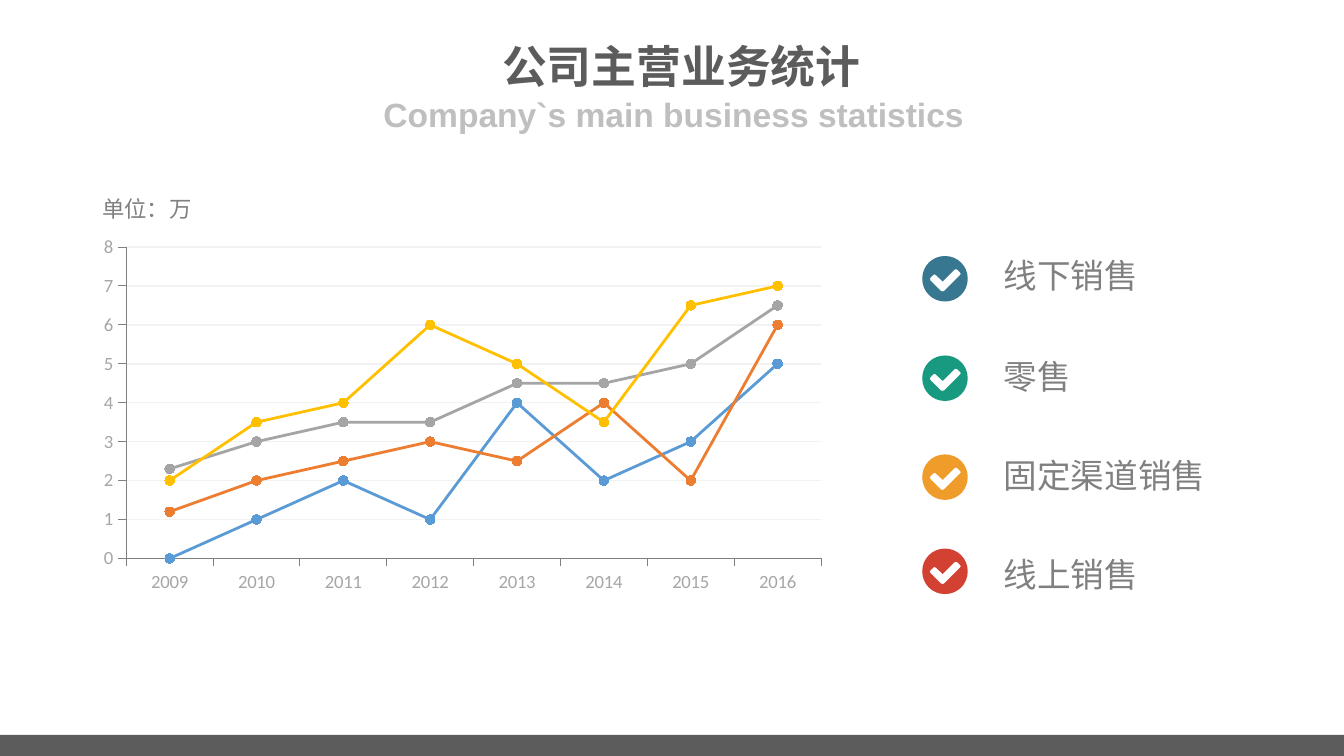
from dataclasses import dataclass

from lxml import etree
from pptx import Presentation
from pptx import util as u
from pptx.chart.data import CategoryChartData
from pptx.dml.color import RGBColor
from pptx.enum import chart as ch, shapes, text
from pptx.oxml import ns

CJK = "Noto Sans CJK SC"
DARK, GREY, LIGHT, AXIS = "5C5C5C", "808080", "A6A6A6", "808080"
ICON_LEFT, ICON_SIZE, LABEL_LEFT = 17.43, 0.86, 18.97

# Outlines in percent of the icon size; NEAR and FAR are the circle's handles
NEAR, FAR = 22, 78
CIRCLE = [(100, 50), (50, 100), (0, 50), (50, 0), (100, 50)]
HANDLES = [((100, FAR), (FAR, 100)), ((NEAR, 100), (0, FAR)),
           ((0, NEAR), (NEAR, 0)), ((FAR, 0), (100, NEAR))]
TICK = [(83, 36), (77, 30), (74, 29), (71, 30), (45, 56), (30, 42), (27, 40), (24, 42),
        (18, 48), (17, 51), (18, 54), (41, 77), (45, 78), (48, 77), (83, 42), (85, 39)]


@dataclass
class Box:
    left: float
    top: float
    width: float
    height: float

    def lengths(self) -> list:
        return [u.Cm(v) for v in (self.left, self.top, self.width, self.height)]


@dataclass
class Style:
    size: float
    color: str
    font: str = CJK
    bold: bool = False
    centred: bool = False
    inset: bool = False
    wrap: bool = True


@dataclass
class LegendItem:
    label: str
    color: str
    icon_top: float
    label_top: float
    width: float = 3.38


@dataclass
class Series:
    color: str
    values: tuple


LEGEND = [
    LegendItem("线下销售", "377790", 4.84, 4.81),
    LegendItem("零售", "189A80", 6.72, 6.73),
    LegendItem("固定渠道销售", "F09C2A", 8.59, 8.6, 4.42),
    LegendItem("线上销售", "D24132", 10.37, 10.47),
]
SERIES = [
    Series("5B9BD5", (0, 1, 2, 1, 4, 2, 3, 5)),
    Series("ED7D31", (1.2, 2, 2.5, 3, 2.5, 4, 2, 6)),
    Series("A5A5A5", (2.3, 3, 3.5, 3.5, 4.5, 4.5, 5, 6.5)),
    Series("FFC000", (2, 3.5, 4, 6, 5, 3.5, 6.5, 7)),
]


def rgb(color: str) -> RGBColor:
    return RGBColor.from_string(color)


def paint(s, color: str) -> None:
    s.shadow.inherit = False
    s.fill.solid()
    s.fill.fore_color.rgb = rgb(color)
    s.line.fill.background()


def add_text(sl, words: str, box: Box, style: Style) -> None:
    tf = sl.shapes.add_textbox(*box.lengths()).text_frame
    tf.text = words
    tf.word_wrap = style.wrap
    if not style.inset:
        tf.margin_left = tf.margin_right = tf.margin_top = tf.margin_bottom = 0
    p = tf.paragraphs[0]
    if style.centred:
        tf.vertical_anchor = text.MSO_ANCHOR.MIDDLE
        p.alignment = text.PP_ALIGN.CENTER
    r = p.runs[0]
    r.font.size, r.font.bold, r.font.name = u.Pt(style.size), style.bold, style.font
    r.font.color.rgb = rgb(style.color)
    if style.font == CJK:
        ea = etree.SubElement(r.font._element, ns.qn("a:ea"))
        ea.set("typeface", CJK)


def add_check_icon(sl, top: float, color: str) -> None:
    fb = sl.shapes.build_freeform(*CIRCLE[0], scale=u.Cm(ICON_SIZE) / 100)
    fb.add_line_segments(CIRCLE[1:], close=False)
    fb.move_to(*TICK[0])
    fb.add_line_segments(TICK[1:])
    s = fb.convert_to_shape(u.Cm(ICON_LEFT), u.Cm(top))
    paint(s, color)

    # Round the four sides of the first contour
    sides = list(s._element.iter(ns.qn("a:lnTo")))[:len(HANDLES)]
    for side, handles in zip(sides, HANDLES):
        curve = etree.Element(ns.qn("a:cubicBezTo"))
        for x, y in handles:
            pt = etree.SubElement(curve, ns.qn("a:pt"))
            pt.set("x", str(x))
            pt.set("y", str(y))
        curve.append(side[0])
        side.getparent().replace(side, curve)


def set_plot_area(chart, x: float, y: float, w: float, h: float) -> None:
    plot_area = chart._chartSpace.chart.plotArea
    for old in plot_area.findall(ns.qn("c:layout")):
        plot_area.remove(old)
    layout = etree.Element(ns.qn("c:layout"))
    manual = etree.SubElement(layout, ns.qn("c:manualLayout"))
    for tag, val in (("layoutTarget", "inner"), ("xMode", "edge"), ("yMode", "edge"),
                     ("x", x), ("y", y), ("w", w), ("h", h)):
        etree.SubElement(manual, ns.qn("c:" + tag)).set("val", str(val))
    plot_area.insert(0, layout)


def add_line_chart(sl, box: Box) -> None:
    data = CategoryChartData()
    data.categories = [str(year) for year in range(2009, 2017)]
    for i, item in enumerate(SERIES, 1):
        data.add_series(f"Series {i}", item.values)
    chart = sl.shapes.add_chart(ch.XL_CHART_TYPE.LINE_MARKERS, *box.lengths(), data).chart
    chart.has_legend = chart.has_title = False
    chart.font.name, chart.font.size = "Calibri", u.Pt(10)
    chart.font.color.rgb = rgb(LIGHT)
    set_plot_area(chart, 0.05, 0.05, 0.93, 0.84)

    # Axes and grid
    for axis in (chart.category_axis, chart.value_axis):
        axis.major_tick_mark = ch.XL_TICK_MARK.OUTSIDE
        axis.minor_tick_mark = ch.XL_TICK_MARK.NONE
        axis.format.line.color.rgb = rgb(AXIS)
        axis.format.line.width = u.Pt(0.5)
    chart.category_axis.tick_label_position = ch.XL_TICK_LABEL_POSITION.LOW
    val = chart.value_axis
    val.minimum_scale, val.maximum_scale, val.major_unit = 0, 8, 1
    val.has_major_gridlines = True
    val.major_gridlines.format.line.color.rgb = rgb("F2F2F2")
    val.major_gridlines.format.line.width = u.Pt(0.75)

    # Lines and markers
    chart.plots[0].vary_by_categories = False
    for line, item in zip(chart.plots[0].series, SERIES):
        line.smooth = False
        line.format.line.color.rgb = rgb(item.color)
        line.format.line.width = u.Pt(1.5)
        line.marker.style, line.marker.size = ch.XL_MARKER_STYLE.CIRCLE, 5
        line.marker.format.fill.solid()
        line.marker.format.fill.fore_color.rgb = rgb(item.color)
        line.marker.format.line.color.rgb = rgb(item.color)


def main() -> None:
    prs = Presentation()
    prs.slide_width, prs.slide_height = u.Cm(25.4), u.Cm(14.29)
    sl = prs.slides.add_slide(prs.slide_layouts[6])

    # Footer bar
    bar = Box(0, 13.89, 25.4, 0.4)
    paint(sl.shapes.add_shape(shapes.MSO_SHAPE.RECTANGLE, *bar.lengths()), DARK)

    # Headings
    add_text(sl, "公司主营业务统计", Box(5.04, 0.74, 15.67, 0.99),
             Style(24, DARK, bold=True, centred=True, wrap=False))
    add_text(sl, "Company`s main business statistics", Box(7.02, 1.88, 11.43, 0.56),
             Style(18, "BFBFBF", "Arial", bold=True, centred=True))

    # Chart with its unit
    add_text(sl, "单位：万", Box(1.68, 3.56, 2.54, 0.76), Style(12, GREY, "Calibri", inset=True))
    add_line_chart(sl, Box(1.68, 4.32, 14.12, 7.01))

    # Business lines
    for item in LEGEND:
        add_check_icon(sl, item.icon_top, item.color)
        add_text(sl, item.label, Box(LABEL_LEFT, item.label_top, item.width, 0.76),
                 Style(18, GREY))

    prs.save("out.pptx")


if __name__ == "__main__":
    main()
